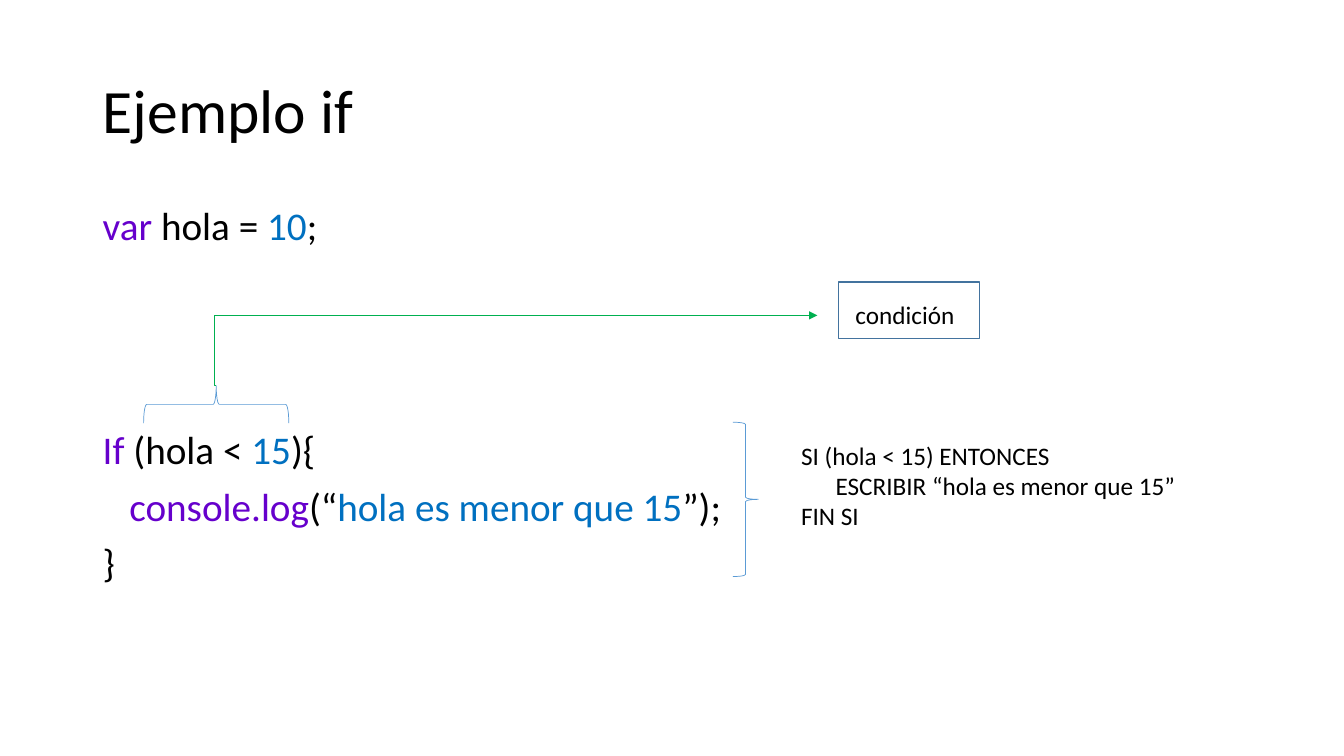
from lxml import etree
from pptx import Presentation
from pptx.dml.color import RGBColor
from pptx.enum.shapes import MSO_CONNECTOR as LINK, MSO_SHAPE as SHAPE
from pptx.enum.text import MSO_ANCHOR as ANCHOR, PP_ALIGN as ALIGN
from pptx.oxml.ns import qn
from pptx.util import Cm, Pt

COLORS = {"text": "000000", "keyword": "6600CC", "value": "0070C0",
          "arrow": "00B050", "brace": "5B9BD5", "border": "43739E"}


def write(frame, lines, size, spacing=1.0):
    frame.word_wrap = True
    for number, (before, indent, runs) in enumerate(lines):
        line = frame.paragraphs[0] if number == 0 else frame.add_paragraph()
        line.alignment = ALIGN.LEFT
        line.line_spacing = spacing
        line.space_before = Pt(before)
        line._p.get_or_add_pPr().set("marL", str(Cm(indent)))
        for words, color in runs:
            run = line.add_run()
            run.text = words
            run.font.name = "Calibri"
            run.font.size = Pt(size)
            run.font.color.rgb = RGBColor.from_string(COLORS[color])


def outline(kind, box, color, width):
    shape = slide.shapes.add_shape(kind, *map(Cm, box))
    shape.shadow.inherit = False
    shape.fill.background()
    shape.line.color.rgb = RGBColor.from_string(COLORS[color])
    shape.line.width = Pt(width)
    return shape


prs = Presentation()
prs.slide_width, prs.slide_height = Cm(33.87), Cm(19.05)
slide = prs.slides.add_slide(prs.slide_layouts[6])

title = slide.shapes.add_textbox(Cm(2.34), Cm(1.02), Cm(29.21), Cm(3.68)).text_frame
title.vertical_anchor = ANCHOR.MIDDLE
write(title, [(0, 0, [("Ejemplo if", "text")])], 44, 0.9)

code = slide.shapes.add_textbox(Cm(2.34), Cm(5.08), Cm(29.21), Cm(12.09)).text_frame
write(code, [
    (0, 0, [("var", "keyword"), (" hola = ", "text"), ("10", "value"), (";", "text")]),
    (130, 0, [("If", "keyword"), (" (hola < ", "text"), ("15", "value"), ("){", "text")]),
    (10, 0.67, [("console.log", "keyword"), ("(“", "text"),
                ("hola es menor que 15", "value"), ("”);", "text")]),
    (10, 0, [("}", "text")]),
], 28, 0.9)

arrow = slide.shapes.add_connector(LINK.ELBOW, Cm(5.44), Cm(9.7), Cm(20.6), Cm(7.95))
arrow.line.color.rgb = RGBColor.from_string(COLORS["arrow"])
arrow.line.width = Pt(0.5)
etree.SubElement(arrow.line._get_or_add_ln(), qn("a:tailEnd"), type="triangle")
properties = arrow._element.spPr
etree.SubElement(properties, qn("a:effectLst"))
bend = properties.find(qn("a:prstGeom")).find(qn("a:avLst"))
etree.SubElement(bend, qn("a:gd"), name="adj1", fmla="val -200")

condition_brace = outline(SHAPE.RIGHT_BRACE, (4.98, 8.36, 0.94, 3.66), "brace", 0.5)
condition_brace.rotation = 270

condition = outline(SHAPE.RECTANGLE, (21.13, 7.11, 3.55, 1.42), "border", 1)
condition.text_frame.margin_left = Cm(0.43)
condition.text_frame.margin_right = Cm(0)
condition.text_frame.margin_top = Cm(0.35)
condition.text_frame.vertical_anchor = ANCHOR.MIDDLE
write(condition.text_frame, [(0, 0, [("condición", "text")])], 18)

outline(SHAPE.RIGHT_BRACE, (18.47, 10.64, 0.64, 3.89), "brace", 0.5)

pseudocode = slide.shapes.add_textbox(Cm(19.94), Cm(10.97), Cm(10.36), Cm(2.57)).text_frame
write(pseudocode, [
    (0, 0, [("SI (hola < 15) ENTONCES", "text")]),
    (0, 0.87, [("ESCRIBIR “hola es menor que 15”", "text")]),
    (0, 0, [("FIN SI", "text")]),
], 18)

prs.save("out.pptx")
